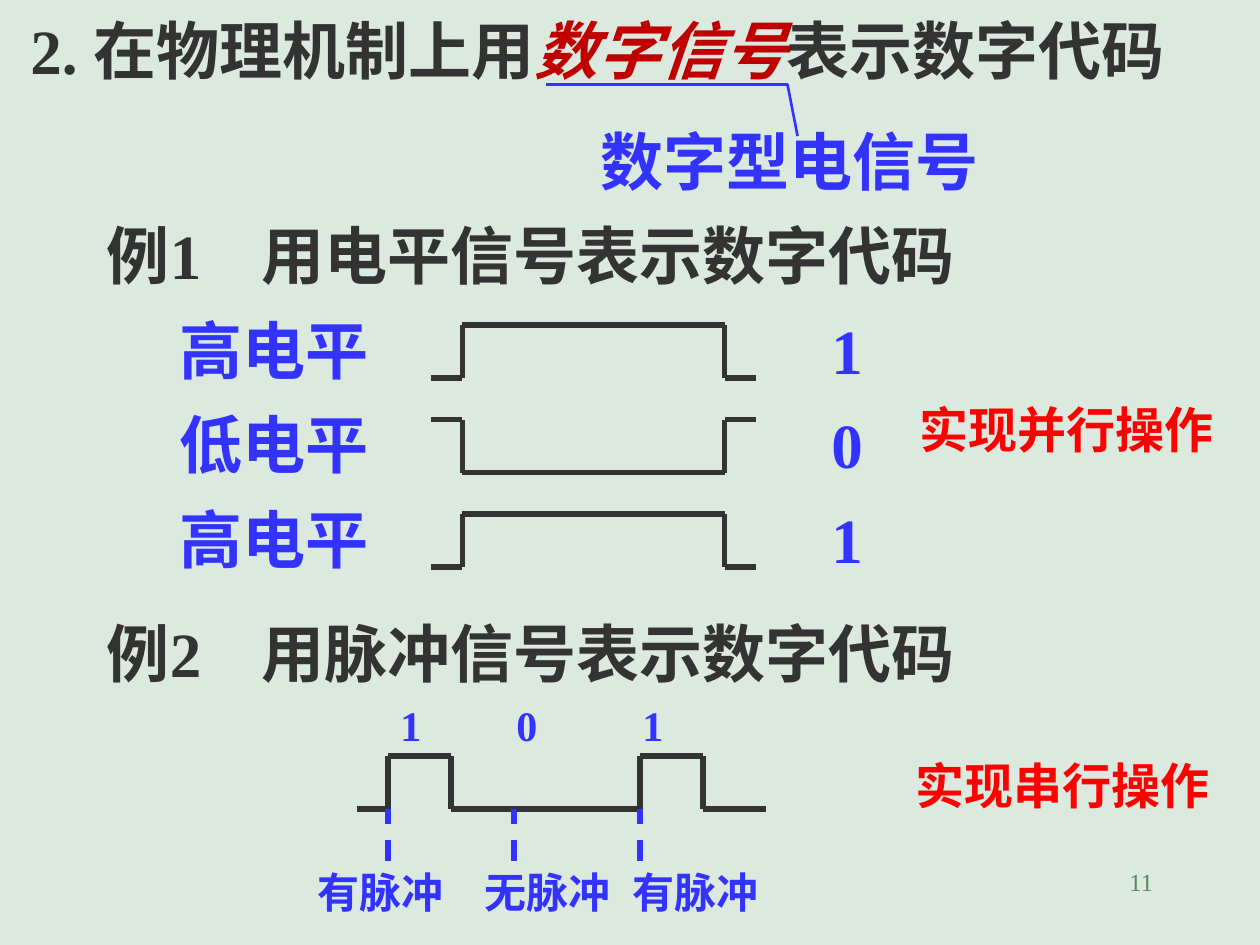
from dataclasses import dataclass
from itertools import pairwise

from lxml.etree import SubElement
from pptx import Presentation
from pptx.dml.color import RGBColor
from pptx.enum.dml import MSO_LINE
from pptx.enum.shapes import MSO_CONNECTOR
from pptx.enum.text import MSO_ANCHOR, MSO_AUTO_SIZE, PP_ALIGN
from pptx.oxml.ns import qn
from pptx.util import Inches, Pt


@dataclass(frozen=True)
class Theme:
    font: str = "Times New Roman"
    back: str = "DCE9DF"
    ink: str = "333333"
    blue: str = "3333FF"
    accent: str = "C00000"
    red: str = "FF0000"
    number: str = "578963"
    large: int = 36
    medium: int = 28
    small: int = 24
    tiny: int = 14
    thin: float = 1.5
    thick: float = 3


class Board:
    """Holds the theme and the current slide."""

    def __init__(self, slide, theme):
        self.s = slide
        self.t = theme
        fill = slide.background.fill
        fill.solid()
        fill.fore_color.rgb = RGBColor.from_string(theme.back)

    def run(self, p, text, size, color, bold=True, italic=False):
        r = p.add_run()
        r.text = text
        r.font.name = self.t.font
        r.font.size = Pt(size)
        r.font.bold = bold
        r.font.italic = italic
        r.font.color.rgb = RGBColor.from_string(color)

    def title(self, parts):
        sp = self.s.shapes.title
        sp.left, sp.top, sp.width, sp.height = 0, 0, Inches(10), Inches(0.77)
        tf = sp.text_frame
        tf.auto_size = MSO_AUTO_SIZE.NONE
        tf.vertical_anchor = MSO_ANCHOR.TOP
        tf.margin_left, tf.margin_top = Inches(0.24), Inches(0.09)
        p = tf.paragraphs[0]
        p.alignment = PP_ALIGN.LEFT
        for text, color, italic in parts:
            self.run(p, text, self.t.large, color, italic=italic)

    def text(self, text, x, y, w, h, size, color, bold=True,
             align=PP_ALIGN.LEFT, tab=None):
        sp = self.s.shapes.add_textbox(Inches(x), Inches(y), Inches(w), Inches(h))
        tf = sp.text_frame
        tf.word_wrap = True
        p = tf.paragraphs[0]
        p.alignment = align
        if tab:
            tabs = SubElement(p._p.get_or_add_pPr(), qn("a:tabLst"))
            SubElement(tabs, qn("a:tab"), pos=str(Inches(tab)), algn="l")
        self.run(p, text, size, color, bold)

    def line(self, start, end, color, width, dash=False, shapes=None):
        shapes = self.s.shapes if shapes is None else shapes
        ends = [Inches(v) for v in (*start, *end)]
        c = shapes.add_connector(MSO_CONNECTOR.STRAIGHT, *ends)
        c.line.color.rgb = RGBColor.from_string(color)
        c.line.width = Pt(width)
        if dash:
            c.line.dash_style = MSO_LINE.DASH
        SubElement(c._element.spPr, qn("a:effectLst"))

    def wave(self, points):
        group = self.s.shapes.add_group_shape()
        for start, end in pairwise(points):
            self.line(start, end, self.t.ink, self.t.thick, shapes=group.shapes)


def main():
    prs = Presentation()
    prs.slide_width, prs.slide_height = Inches(10), Inches(7.5)
    t = Theme()
    b = Board(prs.slides.add_slide(prs.slide_layouts[5]), t)

    # Heading with its callout
    b.title([("2. 在物理机制上用", t.ink, False),
             ("数字信号", t.accent, True),
             ("表示数字代码", t.ink, False)])
    for start, end in pairwise([(4.33, 0.67), (6.25, 0.67), (6.33, 1.08)]):
        b.line(start, end, t.blue, t.thin)
    b.text("数字型电信号", 4.67, 0.92, 3.92, 0.7, t.large, t.blue)

    # Example headings
    for text, y in [("例1\t用电平信号表示数字代码", 1.67),
                    ("例2\t用脉冲信号表示数字代码", 4.83)]:
        b.text(text, 0.75, y, 7.83, 0.7, t.large, t.ink, tab=1.23)

    # Example 1: one level signal per row
    levels = [("高电平", "1", 3, 2.58),
              ("低电平", "0", 3.33, 3.75),
              ("高电平", "1", 4.5, 4.08)]
    for i, (name, digit, rest, level) in enumerate(levels):
        y = 2.42 + 0.75 * i
        b.text(name, 1.33, y, 2.58, 0.7, t.large, t.blue)
        b.text(digit, 6.5, y, 1.33, 0.7, t.large, t.blue)
        b.wave([(3.42, rest), (3.67, rest), (3.67, level),
                (5.75, level), (5.75, rest), (6, rest)])

    # Example 2: pulse train
    low, high = 6.42, 6
    b.wave([(2.83, low), (3.08, low), (3.08, high), (3.58, high), (3.58, low),
            (5.08, low), (5.08, high), (5.58, high), (5.58, low), (6.08, low)])
    pulses = [("有脉冲", 2.42, "1", 3.08),
              ("无脉冲", 3.75, "0", 4),
              ("有脉冲", 4.92, "1", 5)]
    for i, (name, name_x, digit, digit_x) in enumerate(pulses):
        x = 3.08 + i
        b.line((x, 6.83), (x, low), t.blue, t.thick, dash=True)
        b.text(name, name_x, 6.83, 1.58, 0.5, t.small, t.blue)
        b.text(digit, digit_x, 5.5, 0.75, 0.5, t.small, t.blue)

    # Conclusions
    b.text("实现并行操作", 7.2, 3.12, 2.81, 0.57, t.medium, t.red)
    b.text("实现串行操作", 7.17, 5.95, 2.62, 0.57, t.medium, t.red)

    # Slide number
    b.text("11", 7.17, 6.83, 2.08, 0.5, t.tiny, t.number, bold=False,
           align=PP_ALIGN.RIGHT)

    prs.save("out.pptx")


if __name__ == "__main__":
    main()
